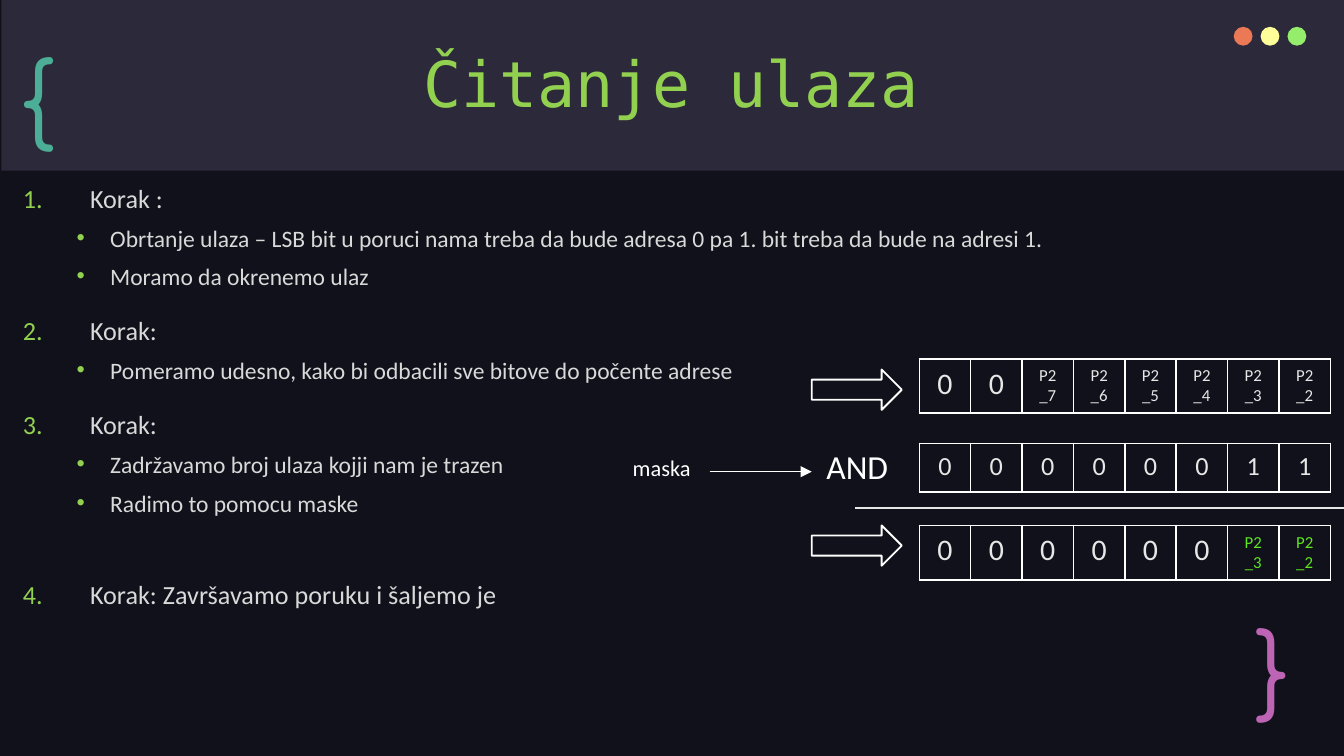
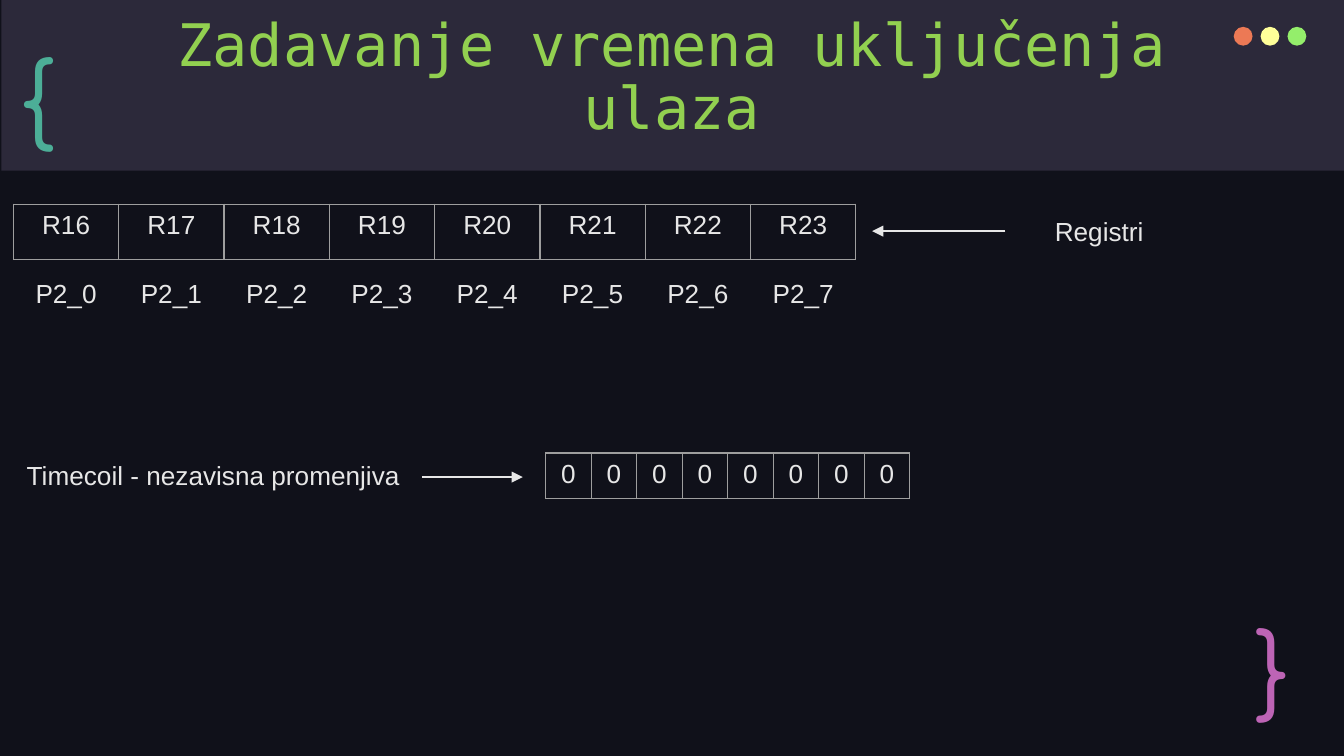
from lxml import etree
from pptx import Presentation
from pptx.dml.color import RGBColor
from pptx.enum import shapes as sh, text as tx
from pptx.oxml.ns import qn
from pptx.util import Inches, Pt

HUES = {
    "back": "10111A", "band": "2C293A", "title": "92D050", "body": "D9D9D9",
    "text": "E7E7E7", "white": "FFFFFF", "grid": "9E9E9E", "mark": "5CE51E",
    "red": "EC7955", "yellow": "FFFF99", "green": "94EE6B",
    "open": "4CAE97", "close": "BD64B5",
}
MONO, SANS, PLAIN, ROUND = "DejaVu Sans Mono", "Calibri", "Arial", "Comfortaa"
MID = tx.PP_ALIGN.CENTER


def rgb(hue):
    return RGBColor.from_string(HUES[hue])


def inch(*nums):
    return [Inches(num) for num in nums]


def sub(node, tag, **attrs):
    return etree.SubElement(node, qn(tag), attrs)


def style(para, face, size, hue):
    for run in para.runs:
        run.font.name, run.font.size = face, Pt(size)
        run.font.color.rgb = rgb(hue)


# Basic parts

def shape(slide, kind, box, fill=None, line=None):
    part = slide.shapes.add_shape(kind, *inch(*box))
    part.shadow.inherit = False
    if fill:
        part.fill.solid()
        part.fill.fore_color.rgb = rgb(fill)
    else:
        part.fill.background()
    if line:
        part.line.color.rgb, part.line.width = rgb(line), Pt(1)
    else:
        part.line.fill.background()
    return part


def label(slide, words, box, face, size, hue, wrap=True):
    frame = slide.shapes.add_textbox(*inch(*box)).text_frame
    frame.word_wrap = wrap
    frame.text = words
    style(frame.paragraphs[0], face, size, hue)
    return frame


def rule(slide, start, end, hue, width=0.75, head=True):
    line = slide.shapes.add_connector(
        sh.MSO_CONNECTOR.STRAIGHT, *inch(*start, *end))
    line.line.color.rgb, line.line.width = rgb(hue), Pt(width)
    if head:
        sub(line.line._get_or_add_ln(), "a:tailEnd", type="triangle")
    sub(line.element.spPr, "a:effectLst")


def edge(cell, hue, width):
    props = cell._tc.get_or_add_tcPr()
    for spot, side in enumerate("LRTB"):
        line = etree.Element(qn("a:ln" + side), w=str(Pt(width)))
        if hue:
            fill = sub(line, "a:solidFill")
            sub(fill, "a:srgbClr", val=HUES[hue])
        else:
            sub(line, "a:noFill")
        props.insert(spot, line)


def cells(slide, words, box, face, size, hue=None, width=1, small=None):
    """One row of equal cells; small is the size and hue of the port names."""
    grid = slide.shapes.add_table(1, len(words), *inch(*box)).table
    grid.first_row = grid.horz_banding = False
    for col, cell, word in zip(grid.columns, grid.iter_cells(), words):
        col.width = Inches(box[2] / len(words))
        cell.fill.background()
        edge(cell, hue, width)
        cell.text = word
        para = cell.text_frame.paragraphs[0]
        para.alignment = MID
        port = small and word.startswith("P2")
        style(para, face, *(small if port else (size, "text")))


# Shared look

def master(deck, slide):
    """Put the background, the band and the three dots on the master."""
    base = deck.slide_master
    base.background.fill.solid()
    base.background.fill.fore_color.rgb = rgb("back")
    parts = [shape(slide, sh.MSO_SHAPE.RECTANGLE, (0.01, 0, 10, 1.27), "band")]
    for num, hue in enumerate(("red", "yellow", "green")):
        box = (9.18 + num * 0.2, 0.2, 0.14, 0.14)
        parts.append(shape(slide, sh.MSO_SHAPE.OVAL, box, hue))
    for num, part in enumerate(parts):
        part.element.nvSpPr.cNvPr.set("id", str(100 + num))
        base.shapes.element.insert(2 + num, part.element)


def place(holder, box):
    holder.left, holder.top, holder.width, holder.height = inch(*box)
    frame = holder.text_frame
    frame.word_wrap = True
    frame.auto_size = tx.MSO_AUTO_SIZE.NONE
    return frame


def title(slide, words, box, size):
    frame = place(slide.shapes.title, box)
    frame.vertical_anchor = tx.MSO_ANCHOR.BOTTOM
    frame.text = words
    para = frame.paragraphs[0]
    para.alignment, para.line_spacing = MID, 0.9
    style(para, MONO, size, "title")


def braces(slide):
    for sign, box, hue, anchor in (
            ("{", (0.05, 0.18, 0.77, 0.95), "open", tx.MSO_ANCHOR.TOP),
            ("}", (9.24, 4.53, 0.57, 0.83), "close", tx.MSO_ANCHOR.MIDDLE)):
        frame = label(slide, sign, box, ROUND, 50, hue)
        frame.vertical_anchor = anchor
        frame.margin_left = frame.margin_right = Inches(0.1)
        frame.margin_top = frame.margin_bottom = Inches(0.1)


# Slide 1: steps and bit masks

STEPS = [
    ("Korak :", [
        "Obrtanje ulaza – LSB bit u poruci nama treba da bude adresa 0 "
        "pa 1. bit treba da bude na adresi 1.",
        "Moramo da okrenemo ulaz"]),
    ("Korak:", ["Pomeramo udesno, kako bi odbacili sve bitove do počente adrese"]),
    ("Korak:", ["Zadržavamo broj ulaza kojji nam je trazen",
                "Radimo to pomocu maske"]),
    ("Korak: Završavamo poruku i šaljemo je", []),
]


def item(para, words, level, before):
    left, hang, size = ((0.5, 0.5, 14), (0.65, 0.25, 12.6))[level]
    para.text, para.level = words, level
    props = para._p.get_or_add_pPr()
    props.set("marL", str(Inches(left)))
    props.set("indent", str(-Inches(hang)))
    sub(sub(props, "a:buClr"), "a:srgbClr", val=HUES["title"])
    sub(props, "a:buFont", typeface=PLAIN if level else SANS)
    if level:
        sub(props, "a:buChar", char="•")
    else:
        sub(props, "a:buAutoNum", type="arabicPeriod")
    para.line_spacing, para.space_before = 0.7, Pt(before)
    style(para, SANS, size, "body")


def steps(slide, box):
    frame = place(slide.placeholders[1], box)
    for num, (head, subs) in enumerate(STEPS):
        para = frame.add_paragraph() if num else frame.paragraphs[0]
        # The closing step stands further apart
        gap = 0 if num == 0 else 18 if subs else 38
        item(para, head, 0, gap)
        for words in subs:
            item(frame.add_paragraph(), words, 1, 10)


def masks(slide, left, top):
    """Shifted bits AND mask, with the result below the line."""
    row, wide = left + 0.8, 3.06
    ports = [f"P2_{num}" for num in range(7, 1, -1)]
    for down, drop, words, hue in (
            (0, 0.08, ["0"] * 2 + ports, "text"),
            (1.24, 0, ["0"] * 6 + ports[-2:], "mark")):
        shape(slide, sh.MSO_SHAPE.RIGHT_ARROW,
              (left, top + down + drop, 0.67, 0.3), line="white")
        cells(slide, words, (row, top + down, wide, 0.4), SANS, 16,
              "white", small=(9, hue))
    cells(slide, "00000011", (row, top + 0.63, wide, 0.36), SANS, 14, "white")
    label(slide, "AND", (left + 0.01, top + 0.6, 0.79, 0.4), SANS, 18, "white")
    label(slide, "maska", (left - 1.43, top + 0.66, 0.77, 0.3), SANS, 12, "white")
    rule(slide, (left - 0.76, top + 0.84), (left, top + 0.84), "white", 0.5)
    rule(slide, (left + 0.32, top + 1.11), (10, top + 1.11), "text", head=False)


def inputs(slide):
    title(slide, "Čitanje ulaza", (2.83, 0.12, 4.33, 0.83), 34)
    steps(slide, (0.07, 1.37, 7.82, 3.53))
    masks(slide, 6.04, 2.67)
    braces(slide)


# Slide 2: registers and the time variable

def regs(slide, left, top):
    wide, high = 6.27, 0.41
    cells(slide, [f"R{num}" for num in range(16, 24)],
          (left, top, wide, high), PLAIN, 14, "grid", 0.75)
    cells(slide, [f"P2_{num}" for num in range(8)],
          (left, top + 0.51, wide, high), PLAIN, 14)
    rule(slide, (left + 7.38, top + 0.2), (left + 6.39, top + 0.2), "text")
    label(slide, "Registri", (left + 7.65, top + 0.03, 0.87, 0.34),
          PLAIN, 14, "text", False)


def coil(slide, left, top):
    label(slide, "Timecoil - nezavisna promenjiva", (left, top, 3.05, 0.34),
          PLAIN, 14, "text", False)
    rule(slide, (left + 3.04, top + 0.18), (left + 3.79, top + 0.18), "text")
    cells(slide, "0" * 8, (left + 3.96, top, 2.71, 0.34), PLAIN, 14,
          "grid", 0.75)


def times(slide):
    title(slide, "Zadavanje vremena uključenja ulaza",
          (0.79, 0.48, 8.42, 0.63), 31.4)
    regs(slide, 0.1, 1.52)
    coil(slide, 0.1, 3.37)
    braces(slide)


def main():
    deck = Presentation()
    # Widescreen, 16 to 9
    deck.slide_width = Inches(10)
    deck.slide_height = Inches(10 * 9 / 16)
    first = deck.slides.add_slide(deck.slide_layouts[1])
    master(deck, first)
    inputs(first)
    times(deck.slides.add_slide(deck.slide_layouts[5]))
    deck.save("out.pptx")


if __name__ == "__main__":
    main()
